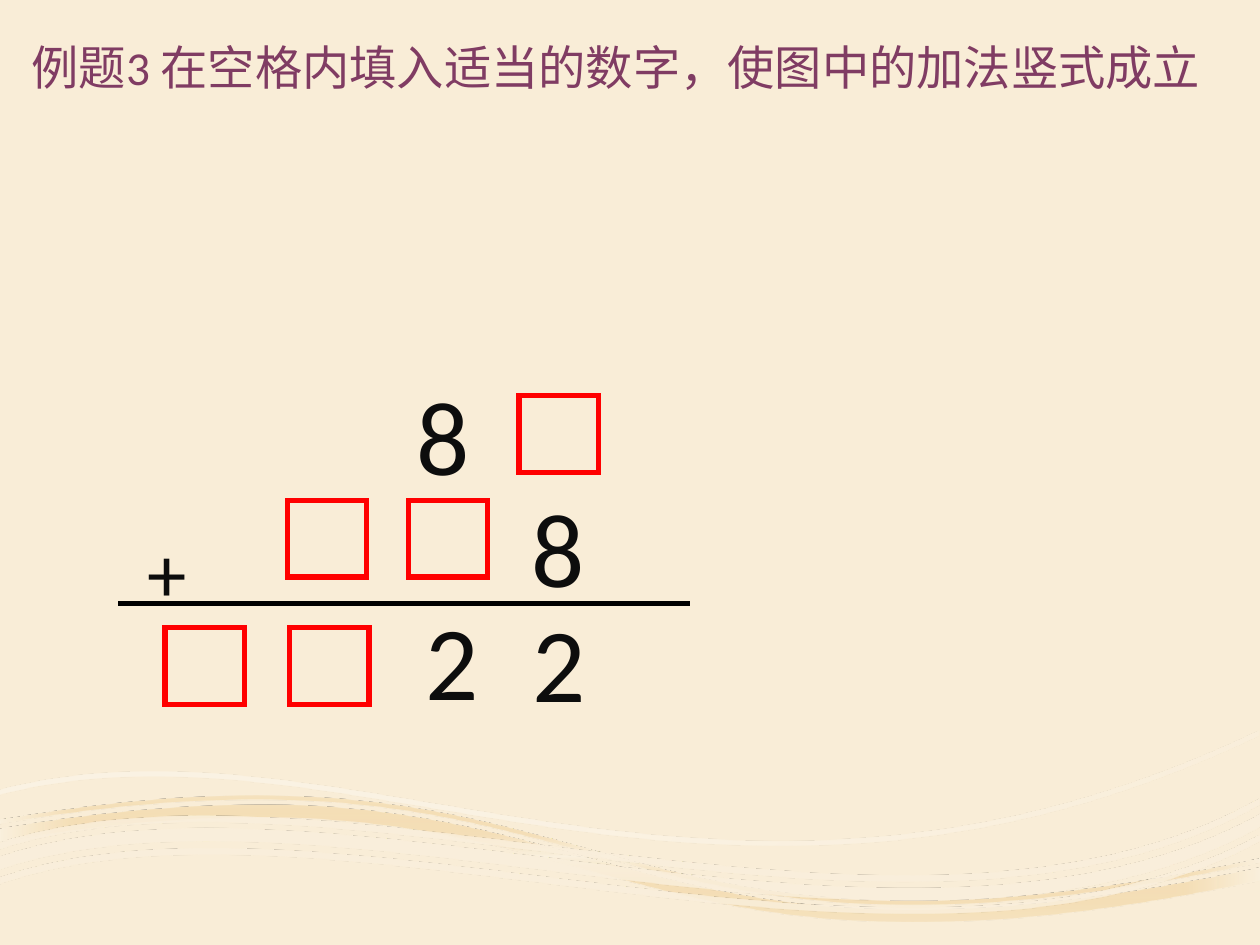
import math

from lxml import etree
from pptx import Presentation
from pptx.dml.color import RGBColor
from pptx.enum import shapes, text
from pptx.oxml import parse_xml
from pptx.oxml.ns import nsdecls, qn
from pptx.util import Inches, Pt

INK, RED = "0D0D0D", "FF0000"
TILT = 3.5


def color(code):
    return RGBColor.from_string(code)


def style(item, **vals):
    for name, val in vals.items():
        setattr(item, name, val)


def place(shape, box):
    style(shape, **dict(zip(("left", "top", "width", "height"), box)))


def write(frame, words, size, code):
    para = frame.paragraphs[0]
    para.text = words
    style(para.runs[0].font, name="Calibri", size=Pt(size))
    para.runs[0].font.color.rgb = color(code)
    return para


# Background waves
def band(edge, thick):
    """Pair a top edge with the same edge moved down."""
    return edge, [(x, y + thick) for x, y in reversed(edge)]


def level(point, box):
    """Turn a slide point back to where it lies before the box is tilted."""
    left, top, width, height = box
    mid, half = left + width / 2, top + height / 2
    x, y = Inches(point[0]) - mid, Inches(point[1]) - half
    sin, cos = math.sin(math.radians(TILT)), math.cos(math.radians(TILT))
    return mid + x * cos - y * sin, half + x * sin + y * cos


def bend(path, bands):
    """Join the lines of each edge, three by three, into cubic curves."""
    lines = iter(path.findall(qn("a:lnTo")))
    for edges in bands:
        for order, edge in enumerate(edges):
            if order:
                next(lines)
            for _ in range(len(edge) // 3):
                trio = [next(lines) for _ in range(3)]
                curve = etree.Element(qn("a:cubicBezTo"))
                path.replace(trio[0], curve)
                for line in trio:
                    curve.append(line[0])
                for line in trio[1:]:
                    path.remove(line)


def shade(shape, stops, path):
    marks = "".join(
        f'<a:gs pos="{pos * 1000}"><a:srgbClr val="{code}">'
        f'<a:alpha val="{alpha * 1000}"/></a:srgbClr></a:gs>'
        for pos, code, alpha in stops)
    shape.fill.background()
    props = shape._element.spPr
    props.replace(props.find(qn("a:noFill")), parse_xml(
        f'<a:gradFill {nsdecls("a")} rotWithShape="1">'
        f'<a:gsLst>{marks}</a:gsLst>{path}</a:gradFill>'))


def wave(slide, box, bands, stops, fade):
    pen = None
    for upper, lower in bands:
        pts = [level(p, box) for p in upper + lower]
        if pen is None:
            pen = slide.shapes.build_freeform(*pts[0], scale=1.0)
        else:
            pen.move_to(*pts[0])
        pen.add_line_segments(pts[1:], close=True)
    shape = pen.convert_to_shape()

    # Measure the outline from the corner of the box
    path = next(shape._element.iter(qn("a:path")))
    for pt in path.iter(qn("a:pt")):
        pt.set("x", str(int(pt.get("x")) + shape.left - box[0]))
        pt.set("y", str(int(pt.get("y")) + shape.top - box[1]))
    path.set("w", str(box[2]))
    path.set("h", str(box[3]))
    bend(path, bands)
    place(shape, box)
    shape.rotation = 360 - TILT
    shape.shadow.inherit = False
    shape.line.fill.background()
    shade(shape, stops, fade)


def waves(slide, boxes):
    centre = '<a:path path="{}"><a:fillToRect l="{}" t="{}" r="{}" b="{}"/></a:path>'
    gold = [
        ([(-0.01, 6.58), (0.92, 6.42), (1.66, 6.38), (2.28, 6.39),
          (5.02, 6.47), (5.55, 7.83), (10, 6.88)],
         [(10.01, 6.98), (4.54, 8.14), (4.99, 5.83), (-0.01, 6.68)]),
        ([(-0.01, 6.51), (0.92, 6.35), (1.66, 6.3), (2.28, 6.32),
          (5.02, 6.4), (5.55, 7.76), (10, 6.81)],
         [(10, 6.84), (4.53, 8.01), (4.99, 5.69), (-0.01, 6.54)])]
    white = [band([(-0.01, 6.27), (2.78, 5.54), (5.67, 7.85), (9.99, 5.8)], 0.04)]
    pale = [band([(0, 6.96), (2.6, 6.07), (7.19, 8.14), (10, 6.62)], 0.05),
            band([(-0.01, 6.8), (2.6, 5.92), (7.18, 7.99), (10, 6.46)], 0.1),
            band([(-0.01, 6.69), (2.62, 5.84), (7.2, 7.9), (9.99, 6.34)], 0.05)]
    wave(slide, boxes[0], gold,
         [(0, "FAF1DF", 90), (18, "F4DEB7", 100), (37, "F4DDB3", 90), (100, "FAF1DF", 100)],
         centre.format("shape", *[50000] * 4))
    wave(slide, boxes[1], white, [(36, "FFFFFF", 30), (100, "F9EDD7", 48)],
         '<a:lin ang="2700000"/>')
    wave(slide, boxes[2], pale, [(36, "FFFFFF", 47), (100, "FAEFDC", 82)],
         centre.format("rect", 100000, 100000, 0, 0))


# Title, in front of the waves
def head(slide, box, words):
    title = slide.shapes.title
    slide.shapes._spTree.append(title._element)
    place(title, box)
    style(title.text_frame, word_wrap=True, auto_size=text.MSO_AUTO_SIZE.NONE,
          vertical_anchor=text.MSO_ANCHOR.BOTTOM)
    para = write(title.text_frame, words, 27, "803C63")
    style(para, alignment=text.PP_ALIGN.LEFT, line_spacing=0.9)


# Column addition
def addition(slide, box):
    left, top, width = box
    signs = [("8", 2.27, 0, 60), ("8", 3.18, 0.89, 60), ("+", 0.13, 1.22, 45),
             ("2", 3.19, 1.8, 60), ("2", 2.34, 1.79, 60)]
    for sign, x, y, size in signs:
        w, h = (0.63, 1.11) if size == 60 else (0.53, 0.86)
        label = slide.shapes.add_textbox(left + Inches(x), top + Inches(y), Inches(w), Inches(h))
        style(label.text_frame, word_wrap=False, auto_size=text.MSO_AUTO_SIZE.SHAPE_TO_FIT_TEXT)
        write(label.text_frame, sign, size, INK)

    # Blank cells, row by row
    for y, cols in ((0.25, [3.18]), (1.08, [1.34, 2.3]), (2.09, [0.37, 1.36])):
        for x in cols:
            cell = slide.shapes.add_shape(
                shapes.MSO_SHAPE.RECTANGLE, left + Inches(x), top + Inches(y),
                Inches(0.63), Inches(0.61))
            cell.shadow.inherit = False
            cell.fill.background()
            cell.line.color.rgb = color(RED)
            cell.line.width = Pt(3)
            cell.line._ln.append(parse_xml(f'<a:miter {nsdecls("a")} lim="800000"/>'))

    # Sum line
    y = top + Inches(1.9)
    rule = slide.shapes.add_connector(shapes.MSO_CONNECTOR.STRAIGHT, left, y, left + width, y)
    rule.line.color.rgb = color("000000")
    rule.line.width = Pt(3)
    rule._element.spPr.append(parse_xml(f'<a:effectLst {nsdecls("a")}/>'))


def main():
    deck = Presentation()
    style(deck, slide_width=Inches(10), slide_height=Inches(7.5))
    slide = deck.slides.add_slide(deck.slide_layouts[5])
    slide.background.fill.solid()
    slide.background.fill.fore_color.rgb = color("F9EDD7")
    sizes = [(0.01, 6.12, 9.98, 1.35), (0.02, 5.88, 10.01, 1.71), (0, 6.25, 10.02, 1.15)]
    waves(slide, [[Inches(n) for n in size] for size in sizes])
    head(slide, [Inches(n) for n in (0.15, 0.23, 9.7, 0.58)],
         "例题3 在空格内填入适当的数字，使图中的加法竖式成立")
    addition(slide, [Inches(n) for n in (0.94, 2.89, 4.54)])
    deck.save("out.pptx")


if __name__ == "__main__":
    main()
